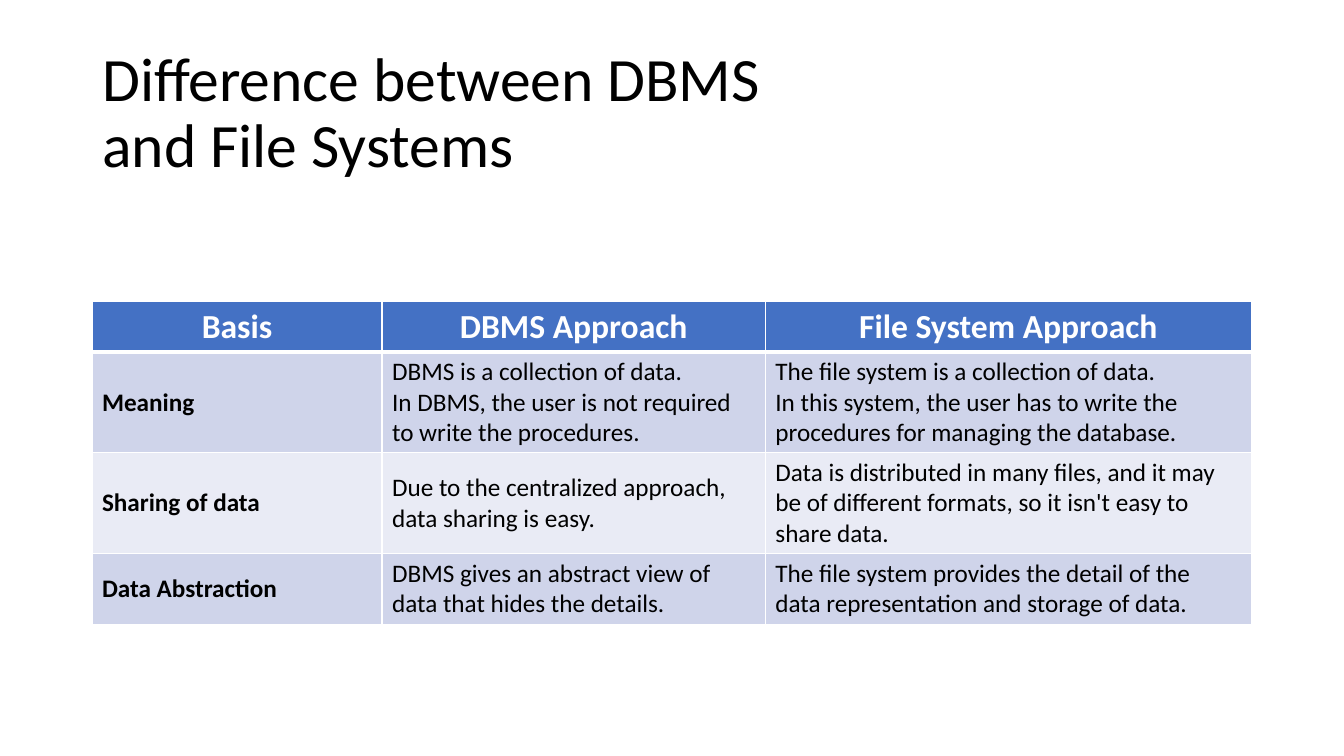
from lxml.etree import SubElement
from pptx import Presentation
from pptx.dml.color import RGBColor
from pptx.enum.text import MSO_ANCHOR, PP_ALIGN
from pptx.oxml.ns import qn
from pptx.util import Pt

TITLE = "Difference between DBMS and File Systems"
ROWS = [
    ("Basis", "DBMS Approach", "File System Approach"),
    (
        "Meaning",
        "DBMS is a collection of data.\n"
        "In DBMS, the user is not required to write the procedures.",
        "The file system is a collection of data.\n"
        "In this system, the user has to write the procedures for managing the database.",
    ),
    (
        "Sharing of data",
        "Due to the centralized approach, data sharing is easy.",
        "Data is distributed in many files, and it may be of different formats, "
        "so it isn't easy to share data.",
    ),
    (
        "Data Abstraction",
        "DBMS gives an abstract view of data that hides the details.",
        "The file system provides the detail of the data representation "
        "and storage of data.",
    ),
]
COLUMN_WIDTHS = (207.2, 273.8, 347.2)
ROW_HEIGHTS = (36, 72, 72, 50.4)
TABLE_LEFT, TABLE_TOP = 65.7, 215.4

FONT = "Calibri"
BLACK = RGBColor(0x00, 0x00, 0x00)
WHITE = RGBColor(0xFF, 0xFF, 0xFF)
HEADER_BLUE = RGBColor(0x44, 0x71, 0xC4)
BANDS = (RGBColor(0xE9, 0xEB, 0xF5), RGBColor(0xCF, 0xD4, 0xEA))


def set_borders(cell, **widths):
    """Give the cell white borders; keys are L, R, T and B, widths in points."""
    properties = cell._tc.get_or_add_tcPr()
    for side, width in widths.items():
        line = SubElement(properties, qn(f"a:ln{side}"), w=str(Pt(width)))
        fill = SubElement(line, qn("a:solidFill"))
        SubElement(fill, qn("a:srgbClr"), val=str(WHITE))


def set_font(paragraph, size, color, bold=False):
    font = paragraph.font
    font.name, font.size, font.bold = FONT, Pt(size), bold
    font.color.rgb = color


def add_title(slide):
    title = slide.shapes.title
    title.left, title.top, title.width, title.height = Pt(72), Pt(24.5), Pt(544), Pt(102)
    frame = title.text_frame
    frame.text = TITLE
    frame.word_wrap = True
    frame.vertical_anchor = MSO_ANCHOR.TOP
    frame.margin_left, frame.margin_top = Pt(1), Pt(9)
    frame.margin_right, frame.margin_bottom = Pt(36), 0
    heading = frame.paragraphs[0]
    heading.alignment = PP_ALIGN.LEFT
    heading.line_spacing = Pt(47.5)
    heading.space_before = Pt(0)
    set_font(heading, 44, BLACK)


def fill_cell(cell, text, row, column):
    header = row == 0
    set_borders(cell, L=1, R=1, T=3 if row == 1 else 1, B=3 if header else 1)
    cell.fill.solid()
    cell.fill.fore_color.rgb = HEADER_BLUE if header else BANDS[row % 2]
    cell.vertical_anchor = MSO_ANCHOR.MIDDLE
    cell.margin_left = Pt(7.2)
    cell.margin_right = Pt(7.2 if header else 16)
    cell.margin_top = cell.margin_bottom = Pt(2)
    cell.text_frame.text = text
    for paragraph in cell.text_frame.paragraphs:
        paragraph.alignment = PP_ALIGN.CENTER if header else PP_ALIGN.LEFT
        set_font(paragraph, 24 if header else 18, WHITE if header else BLACK,
                 header or column == 0)


def add_comparison(slide):
    comparison = slide.shapes.add_table(
        len(ROWS), len(COLUMN_WIDTHS), Pt(TABLE_LEFT), Pt(TABLE_TOP),
        Pt(sum(COLUMN_WIDTHS)), Pt(sum(ROW_HEIGHTS))).table
    for column, width in zip(comparison.columns, COLUMN_WIDTHS):
        column.width = Pt(width)
    for row, height in zip(comparison.rows, ROW_HEIGHTS):
        row.height = Pt(height)
    for r, texts in enumerate(ROWS):
        for c, text in enumerate(texts):
            fill_cell(comparison.cell(r, c), text, r, c)


def main():
    presentation = Presentation()
    presentation.slide_width, presentation.slide_height = Pt(960), Pt(540)
    slide = presentation.slides.add_slide(presentation.slide_layouts[5])
    add_title(slide)
    add_comparison(slide)
    presentation.save("out.pptx")


if __name__ == "__main__":
    main()
